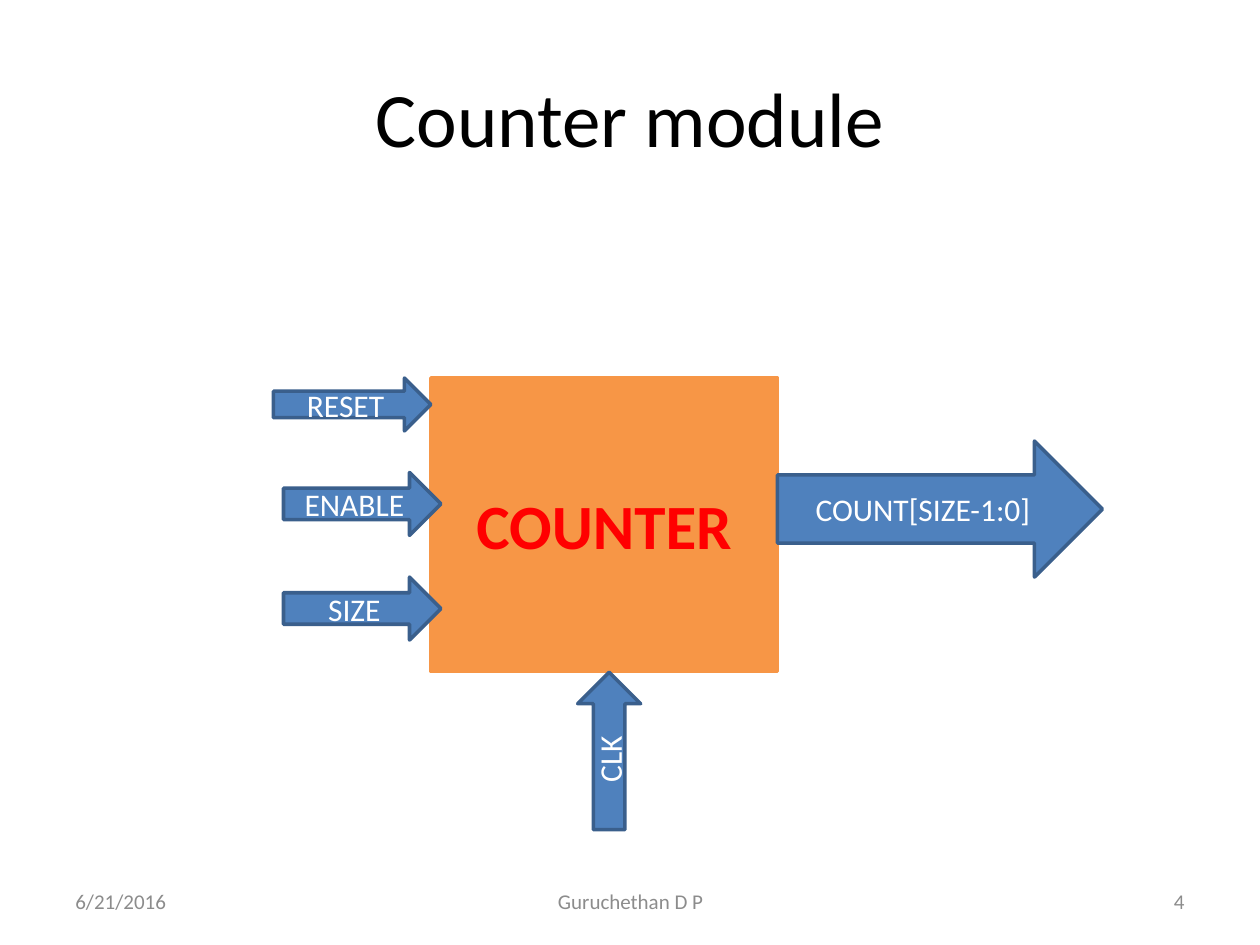
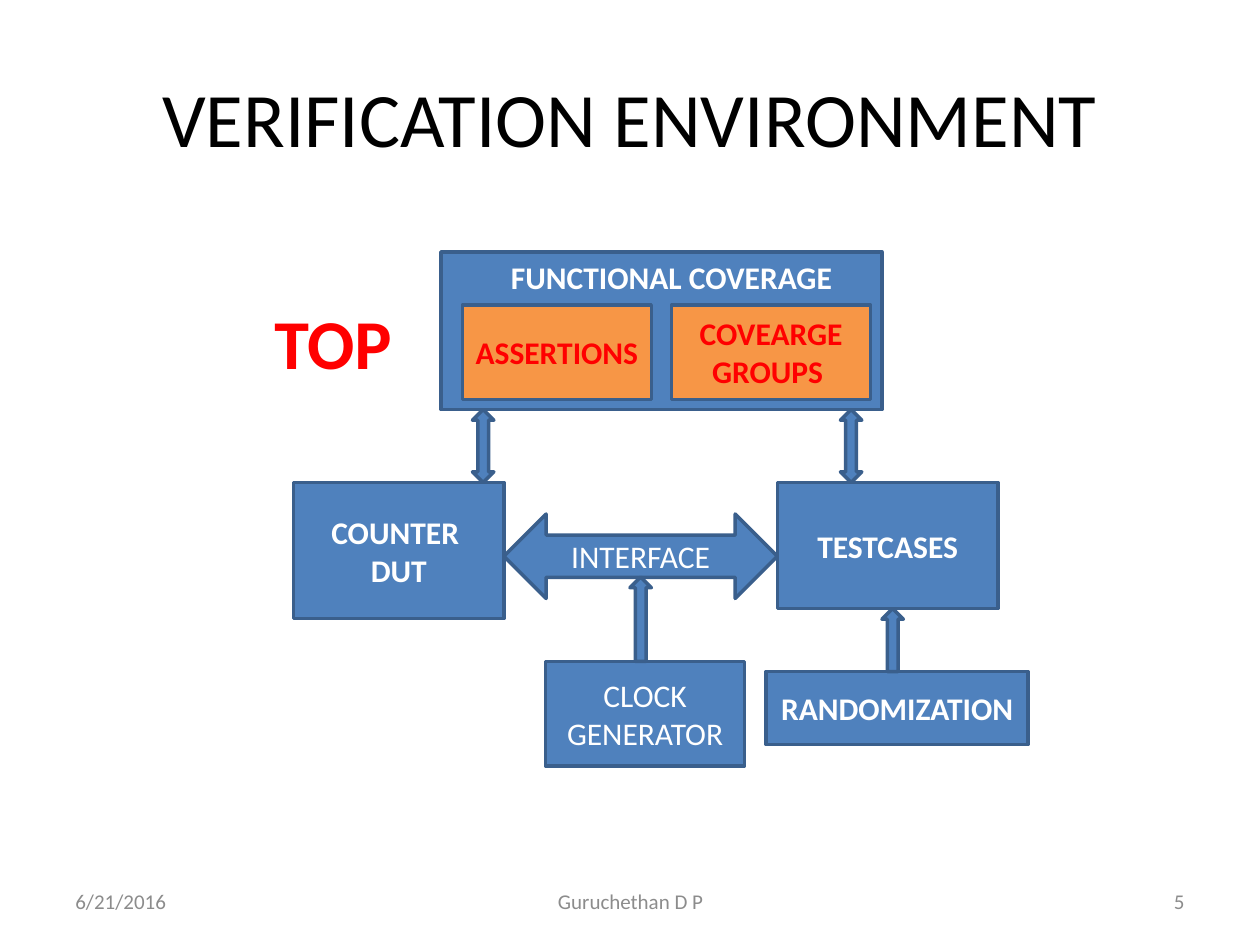
from pptx import Presentation
from pptx.dml.color import RGBColor
from pptx.enum.shapes import MSO_SHAPE as SHAPE
from pptx.enum.text import MSO_ANCHOR as ANCHOR, PP_ALIGN as ALIGN
from pptx.util import Inches, Pt

COLORS = {
    "black": "000000", "white": "FFFFFF", "grey": "8C8C8C", "red": "FF0000",
    "blue": "4F81BD", "edge": "3A5F8C", "orange": "F79646",
}
FONT = "Calibri"
TITLE_BOX = (0.5, 0.3, 9, 1.25)
FOOTER_TOP, FOOTER_H = 6.95, 0.4
DATE, AUTHOR = "6/21/2016", "Guruchethan D P"

BODY = {"size": Pt(18), "bold": False}
BOLD = {"size": Pt(18), "bold": True}
HUGE = {"size": Pt(36), "bold": True}
LABEL = {"size": Pt(40), "bold": True}
TITLE = {"size": Pt(44), "bold": False}
FOOTER = {"size": Pt(12), "bold": False}


def rgb(name):
    return RGBColor.from_string(COLORS[name])


def inches(box):
    return [Inches(v) for v in box]


def within(box, x, y, w, h):
    """Turn a place relative to the box's corner into a place on the slide."""
    return box[0] + x, box[1] + y, w, h


def set_text(sp, text, style, color, align=ALIGN.CENTER, anchor=ANCHOR.MIDDLE):
    tf = sp.text_frame
    tf.word_wrap = True
    tf.vertical_anchor = anchor
    tf.text = text
    for p in tf.paragraphs:
        p.alignment = align
        for r in p.runs:
            r.font.name = FONT
            r.font.color.rgb = rgb(color)
            for key, value in style.items():
                setattr(r.font, key, value)


def add_text(slide, box, text, style, color, align=ALIGN.CENTER, anchor=ANCHOR.TOP):
    sp = slide.shapes.add_textbox(*inches(box))
    set_text(sp, text, style, color, align, anchor)


def add_block(slide, kind, box, text="", style=BODY, color="white",
              fill="blue", line="edge", rotation=0):
    sp = slide.shapes.add_shape(kind, *inches(box))
    sp.shadow.inherit = False
    sp.fill.solid()
    sp.fill.fore_color.rgb = rgb(fill)
    sp.line.color.rgb = rgb(line)
    sp.line.width = Pt(2)
    sp.rotation = rotation
    if text:
        set_text(sp, text, style, color)


def add_footer(slide, number):
    for left, width, text, align in (
        (0.5, 2.33, DATE, ALIGN.LEFT),
        (3.42, 3.17, AUTHOR, ALIGN.CENTER),
        (7.17, 2.33, str(number), ALIGN.RIGHT),
    ):
        add_text(slide, (left, FOOTER_TOP, width, FOOTER_H), text, FOOTER,
                 "grey", align, ANCHOR.MIDDLE)


def new_slide(prs, title, number):
    slide = prs.slides.add_slide(prs.slide_layouts[5])
    sp = slide.shapes.title
    sp.left, sp.top, sp.width, sp.height = inches(TITLE_BOX)
    set_text(sp, title, TITLE, "black")
    add_footer(slide, number)
    return slide


def draw_counter(slide, box):
    """Draw the module in the box and its signals around it."""
    add_block(slide, SHAPE.RECTANGLE, box, "COUNTER", HUGE, "red", "orange", "orange")
    for text, x, y, w, h, rotation in (
        ("RESET", -1.25, 0, 1.25, 0.42, 0),
        ("ENABLE", -1.17, 0.75, 1.25, 0.5, 0),
        ("SIZE", -1.17, 1.58, 1.25, 0.5, 0),
        ("COUNT[SIZE-1:0]", box[2], 0.5, 2.58, 1.08, 0),
        ("CLK", 0.79, 2.71, 1.25, 0.5, 270),
    ):
        add_block(slide, SHAPE.RIGHT_ARROW, within(box, x, y, w, h), text,
                  rotation=rotation)


def draw_coverage(slide, box):
    add_block(slide, SHAPE.RECTANGLE, box)
    for text, x, w in (("ASSERTIONS", 0.17, 1.5), ("COVEARGE\nGROUPS ", 1.83, 1.58)):
        add_block(slide, SHAPE.RECTANGLE, within(box, x, 0.42, w, 0.75), text,
                  BOLD, "red", "orange")
    add_text(slide, within(box, 0.08, 0, box[2], 0.4), "FUNCTIONAL COVERAGE",
             BOLD, "white")


def draw_testbench(slide, box):
    """Draw the blocks below the coverage, with the arrows that join them."""
    for text, style, x, y, w, h in (
        ("COUNTER \nDUT", BOLD, 0, 0.58, 1.67, 1.08),
        ("TESTCASES", BOLD, 3.84, 0.58, 1.75, 1),
        ("RANDOMIZATION", BOLD, 3.75, 2.08, 2.08, 0.58),
        ("CLOCK GENERATOR", BODY, 2, 2, 1.58, 0.83),
    ):
        add_block(slide, SHAPE.RECTANGLE, within(box, x, y, w, h), text, style)
    add_block(slide, SHAPE.LEFT_RIGHT_ARROW, within(box, 1.67, 0.83, 2.17, 0.67),
              "INTERFACE")
    for kind, x, y, h in (
        (SHAPE.UP_DOWN_ARROW, 1.42, 0, 0.58),
        (SHAPE.UP_DOWN_ARROW, 4.34, 0, 0.58),
        (SHAPE.UP_ARROW, 2.67, 1.33, 0.67),
        (SHAPE.UP_ARROW, 4.67, 1.58, 0.5),
    ):
        add_block(slide, kind, within(box, x, y, 0.17, h))


def main():
    prs = Presentation()
    prs.slide_width, prs.slide_height = Inches(10), Inches(7.5)

    slide = new_slide(prs, "Counter module", 4)
    draw_counter(slide, (3.42, 3, 2.75, 2.33))

    slide = new_slide(prs, "VERIFICATION ENVIRONMENT", 5)
    add_text(slide, (2.08, 2.33, 1.25, 0.77), "TOP", LABEL, "red", ALIGN.LEFT)
    draw_testbench(slide, (2.33, 3.25, 5.83, 2.83))
    draw_coverage(slide, (3.5, 2, 3.5, 1.25))

    prs.save("out.pptx")


if __name__ == "__main__":
    main()
